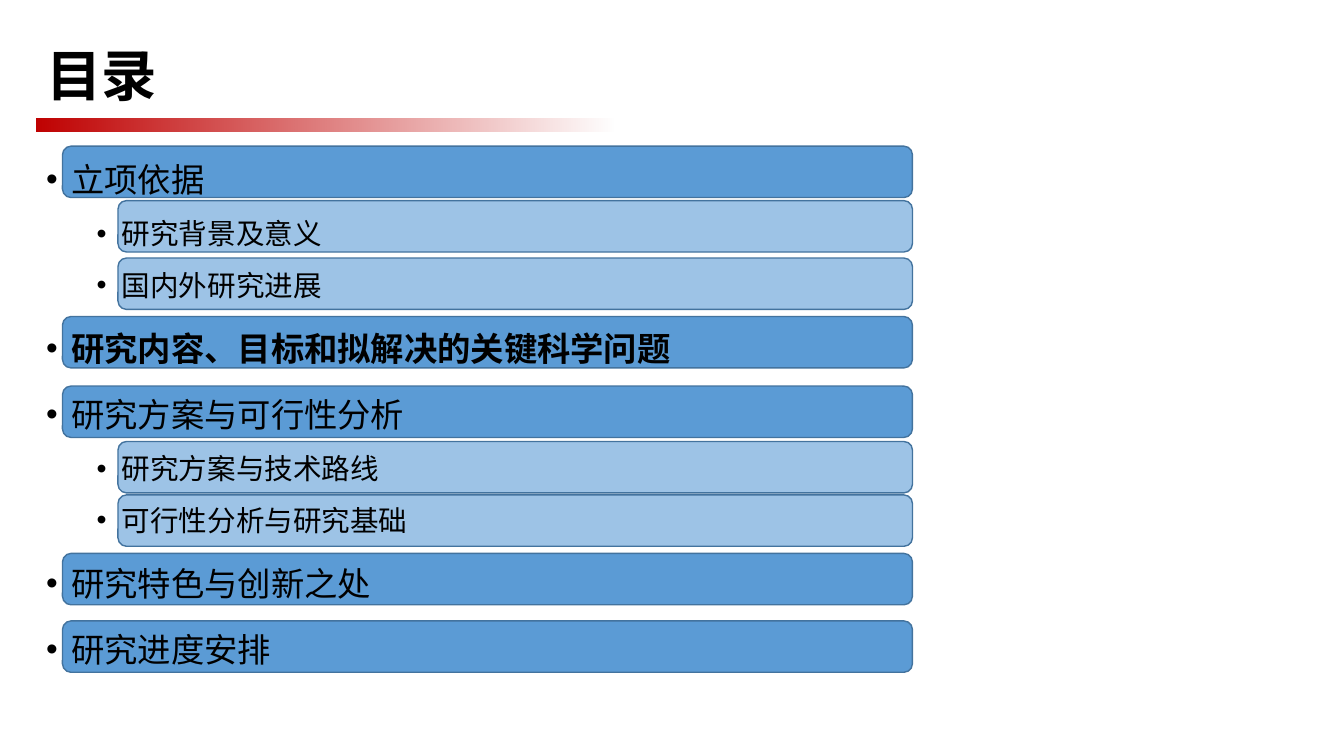
from dataclasses import dataclass

from lxml import etree
from pptx import Presentation
from pptx import util as u
from pptx.dml.color import RGBColor
from pptx.enum import shapes, text
from pptx.oxml import ns

PX = 9144  # EMU per px, 100 px to the inch
FONT = "Noto Sans CJK SC"
COLORS = {
    "text": "000000",
    "accent": "C00000",
    "chapter": "5B9BD5",
    "section": "9DC3E6",
    "outline": "43739E",
}
BAR_RIGHT, BAR_HEIGHT = 905, 51


@dataclass(frozen=True)
class Level:
    color: str
    bar_left: int
    indent: int
    size: float
    space_before: int


@dataclass(frozen=True)
class Entry:
    label: str
    level: Level
    bar_top: int
    bold: bool = False


CHAPTER = Level("chapter", 62, 25, 23.8, 10)
SECTION = Level("section", 117, 75, 20.4, 5)
ENTRIES = [
    Entry("立项依据", CHAPTER, 145),
    Entry("研究背景及意义", SECTION, 199),
    Entry("国内外研究进展", SECTION, 256),
    Entry("研究内容、目标和拟解决的关键科学问题", CHAPTER, 314, bold=True),
    Entry("研究方案与可行性分析", CHAPTER, 383),
    Entry("研究方案与技术路线", SECTION, 438),
    Entry("可行性分析与研究基础", SECTION, 491),
    Entry("研究特色与创新之处", CHAPTER, 549),
    Entry("研究进度安排", CHAPTER, 616),
]


def px(length: int) -> u.Emu:
    return u.Emu(length * PX)


def rgb(name: str) -> RGBColor:
    return RGBColor.from_string(COLORS[name])


def add_shape(slide, kind, left: int, top: int, width: int, height: int):
    shape = slide.shapes.add_shape(kind, px(left), px(top), px(width), px(height))
    shape.shadow.inherit = False
    return shape


def set_font(paragraph, size: float, bold: bool) -> None:
    font = paragraph.font
    font.size, font.bold = u.Pt(size), bold
    font.color.rgb = rgb("text")
    font.name = FONT
    properties = paragraph._p.pPr.find(ns.qn("a:defRPr"))
    etree.SubElement(properties, ns.qn("a:ea"), typeface=FONT)


def add_title(slide, label: str) -> None:
    title = slide.shapes.title
    title.left, title.top, title.width, title.height = map(px, (36, 40, 1262, 76))
    frame = title.text_frame
    frame.text = label
    frame.auto_size = text.MSO_AUTO_SIZE.NONE
    frame.vertical_anchor = text.MSO_ANCHOR.MIDDLE
    paragraph = frame.paragraphs[0]
    paragraph.alignment = text.PP_ALIGN.LEFT
    paragraph.line_spacing = 0.9
    set_font(paragraph, 39.6, True)


def add_title_rule(slide) -> None:
    rule = add_shape(slide, shapes.MSO_SHAPE.RECTANGLE, 36, 118, 575, 12)
    rule.line.fill.background()
    rule.fill.gradient()
    rule.fill.gradient_angle = 0
    for stop, position in zip(rule.fill.gradient_stops, (0, 1)):
        stop.position = position
        stop.color.rgb = rgb("accent")
    # Fade the right end out
    end_color = rule._element.findall(".//" + ns.qn("a:srgbClr"))[-1]
    etree.SubElement(end_color, ns.qn("a:alpha"), val="0")


def add_bar(slide, entry: Entry) -> None:
    left = entry.level.bar_left
    bar = add_shape(slide, shapes.MSO_SHAPE.ROUNDED_RECTANGLE,
                    left, entry.bar_top, BAR_RIGHT - left, BAR_HEIGHT)
    bar.fill.solid()
    bar.fill.fore_color.rgb = rgb(entry.level.color)
    bar.line.color.rgb = rgb("outline")
    bar.line.width = u.Pt(1)


def add_bullet(paragraph, indent: int) -> None:
    properties = paragraph._p.pPr
    properties.set("marL", str(px(indent)))
    properties.set("indent", str(px(-25)))
    defaults = properties.find(ns.qn("a:defRPr"))
    for tag, key, value in (("a:buFont", "typeface", "Arial"), ("a:buChar", "char", "•")):
        defaults.addprevious(etree.Element(ns.qn(tag), {key: value}))


def add_contents(slide, entries: list[Entry]) -> None:
    box = slide.shapes.add_textbox(px(36), px(141), px(1262), px(534))
    frame = box.text_frame
    frame.word_wrap = True
    frame.text = "\n".join(entry.label for entry in entries)
    for index, (paragraph, entry) in enumerate(zip(frame.paragraphs, entries)):
        level = entry.level
        paragraph.level = int(level is SECTION)
        paragraph.line_spacing = 1.3
        paragraph.space_before = u.Pt(level.space_before if index else 0)
        set_font(paragraph, level.size, entry.bold)
        add_bullet(paragraph, level.indent)


def main() -> None:
    presentation = Presentation()
    presentation.slide_width, presentation.slide_height = px(1333), px(750)
    title_only = presentation.slide_layouts[5]
    slide = presentation.slides.add_slide(title_only)

    # Heading
    add_title(slide, "目录")
    add_title_rule(slide)

    # Table of contents
    for entry in ENTRIES:
        add_bar(slide, entry)
    add_contents(slide, ENTRIES)

    presentation.save("out.pptx")


if __name__ == "__main__":
    main()
